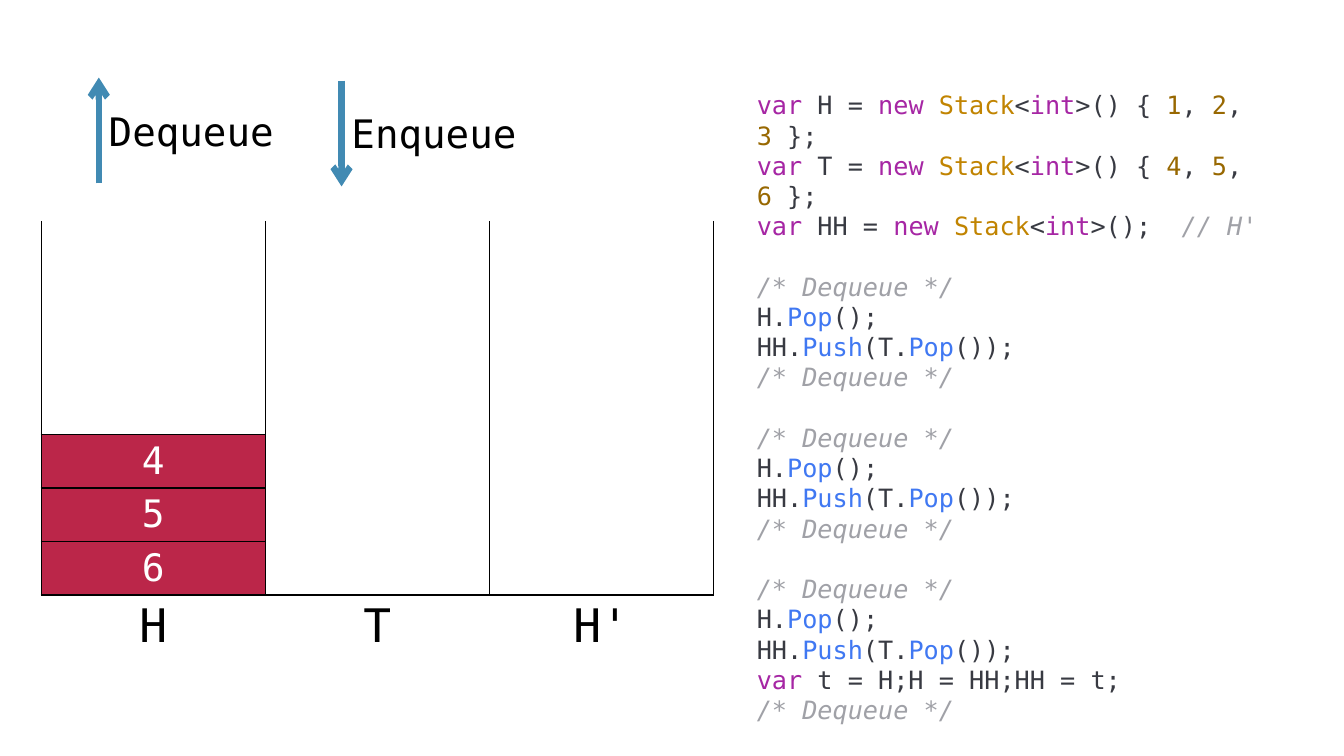
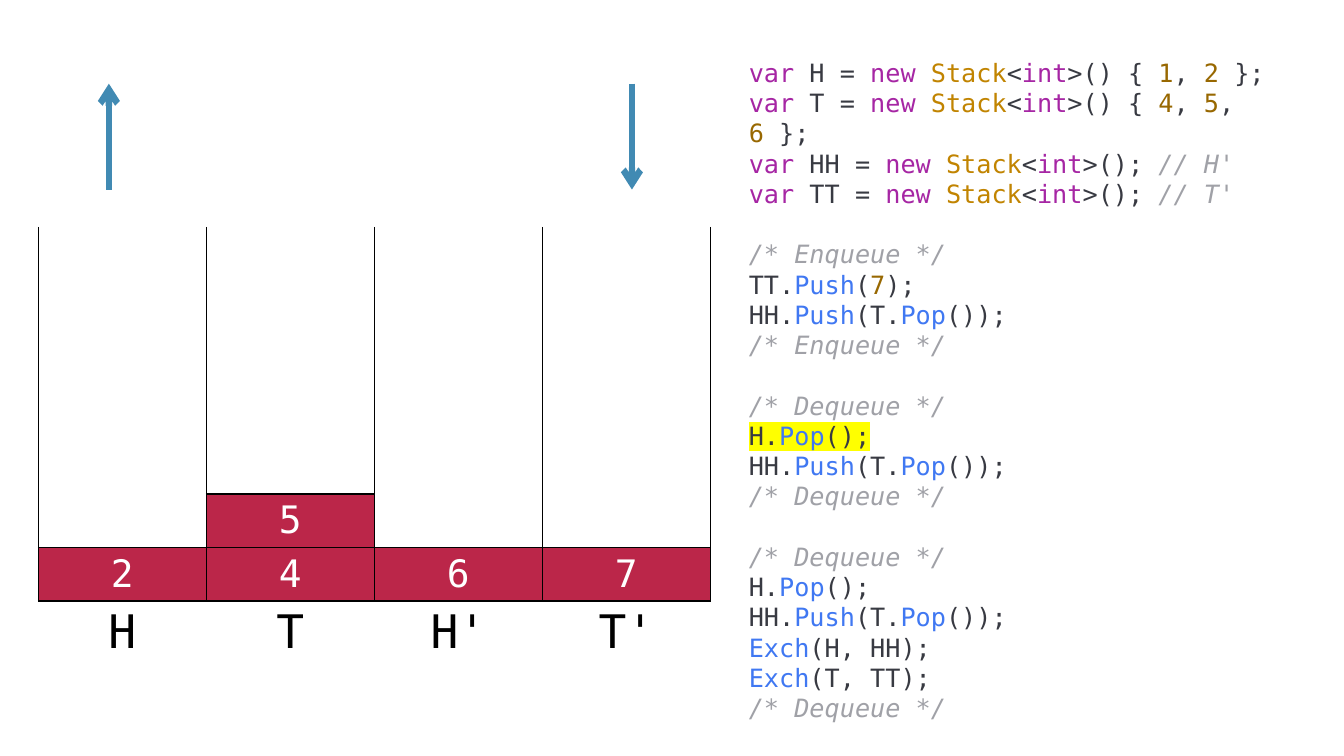
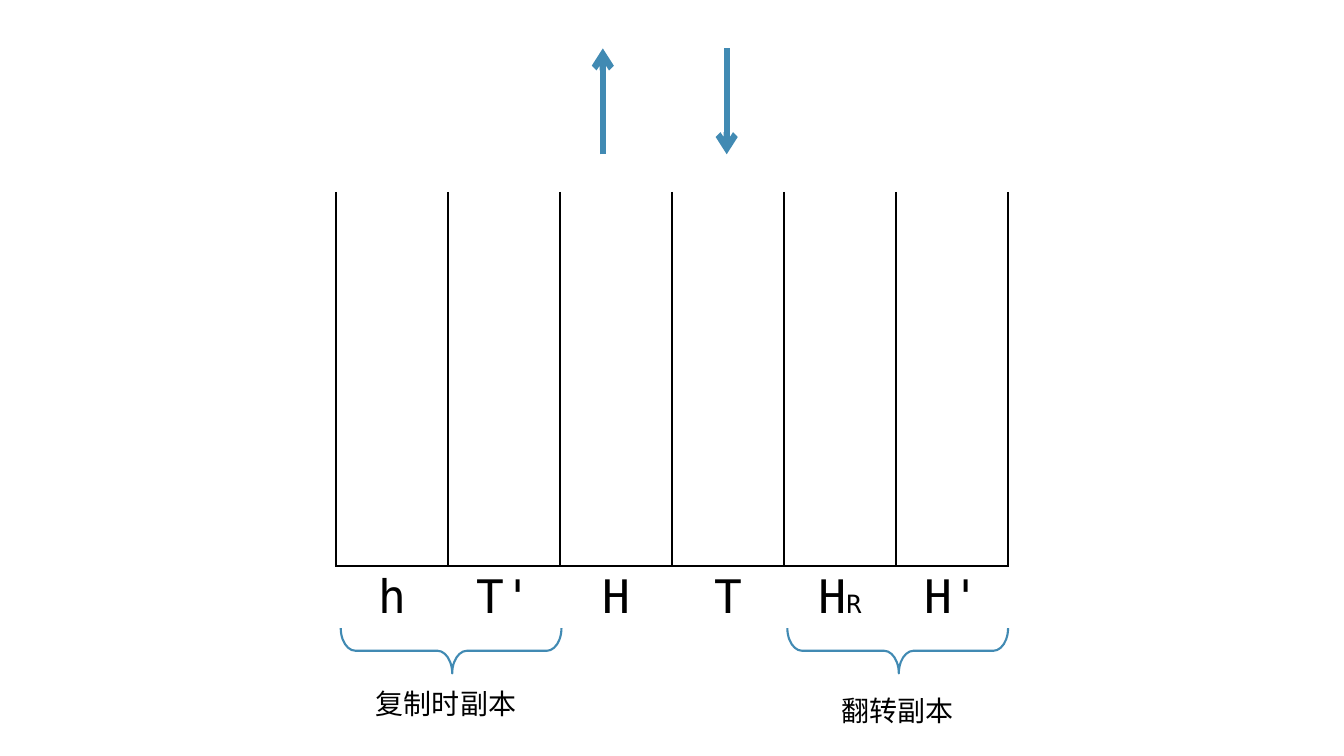
"""Build three slides that show queues made of stacks, with their code."""
from itertools import groupby

from lxml.etree import SubElement
from pptx import Presentation
from pptx.dml.color import RGBColor
from pptx.enum.shapes import MSO_CONNECTOR, MSO_SHAPE
from pptx.enum.text import MSO_ANCHOR, MSO_AUTO_SIZE, PP_ALIGN
from pptx.oxml.ns import qn
from pptx.util import Pt

MONO = "DejaVu Sans Mono"
BLACK, WHITE, RED, BLUE, YELLOW = "000000", "FFFFFF", "BB2649", "418AB3", "FFFF00"
CODE, COMMENT, NUMBER = "383A42", "A0A1A7", "986801"
KEYWORD, CLASS, METHOD = "A626A4", "C18401", "4078F2"
WORD_COLORS = {"var": KEYWORD, "new": KEYWORD, "int": KEYWORD, "Stack": CLASS,
               "Pop": METHOD, "Push": METHOD, "Exch": METHOD}
NO_GRID_STYLE = "{2D5ABB26-0587-4C30-8999-92F81FD0307C}"
TABLE_WIDTH, CELL_HEIGHT, LABEL_HEIGHT, DEPTH = 480, 38.2, 45, 7
LINE_HEIGHT = 21.6
CELL_FORMAT = {"margin_left": Pt(5), "margin_right": Pt(5), "margin_top": Pt(2.8),
               "margin_bottom": Pt(2.8), "vertical_anchor": MSO_ANCHOR.MIDDLE}

THREE_STACK_CODE = """var H = new Stack<int>() { 1, 2, 3 };
var T = new Stack<int>() { 4, 5, 6 };
var HH = new Stack<int>();  // H'

/* Dequeue */
H.Pop();
HH.Push(T.Pop());
/* Dequeue */

/* Dequeue */
H.Pop();
HH.Push(T.Pop());
/* Dequeue */

/* Dequeue */
H.Pop();
HH.Push(T.Pop());
var t = H;H = HH;HH = t;
/* Dequeue */"""

FOUR_STACK_CODE = """var H = new Stack<int>() { 1, 2 };
var T = new Stack<int>() { 4, 5, 6 };
var HH = new Stack<int>(); // H'
var TT = new Stack<int>(); // T'

/* Enqueue */
TT.Push(7);
HH.Push(T.Pop());
/* Enqueue */

/* Dequeue */
H.Pop();
HH.Push(T.Pop());
/* Dequeue */

/* Dequeue */
H.Pop();
HH.Push(T.Pop());
Exch(H, HH);
Exch(T, TT);
/* Dequeue */"""

PAGES = [
    {"table": (29.5, 157.7),
     "stacks": [("H", "654"), ("T", ""), ("H'", "")],
     "arrows": [(244, 57.6, 133.2), (70.6, 131, 55.4)],
     "captions": [("Enqueue", (244, 74.9, 136, 41), 28, MONO, PP_ALIGN.LEFT),
                  ("Dequeue", (70.6, 73.4, 136, 41), 28, MONO, PP_ALIGN.LEFT)],
     "braces": [],
     "code": (THREE_STACK_CODE, (533.5, 60.5, 405.4, 421.9), None)},
    {"table": (27.4, 162),
     "stacks": [("H", "2"), ("T", "45"), ("H'", "6"), ("T'", "7")],
     "arrows": [(451.4, 59.8, 135.4), (77.8, 135.4, 59.8)],
     "captions": [],
     "braces": [],
     "code": (FOUR_STACK_CODE, (527.8, 37.4, 400.3, 465.1), 11)},
    {"table": (240, 137),
     "stacks": [(label, "") for label in ("h", "T'", "H", "T", "H_R", "H'")],
     "arrows": [(430.6, 110.2, 34.6), (519.1, 34.6, 110.2)],
     "captions": [
         ("复制时副本", (252.7, 486.7, 131.8, 31.7), 20, "Noto Sans Mono", PP_ALIGN.CENTER),
         ("翻转副本", (575.3, 491.8, 131.8, 31.7), 20, "Noto Sans Mono", PP_ALIGN.CENTER)],
     "braces": [306, 625],
     "code": None},
]


def add_span(para, text, color, size, name=MONO, italic=False, highlight=None):
    span = para.add_run()
    span.text = text
    span.font.color.rgb = RGBColor.from_string(color)
    if highlight:
        mark = SubElement(span._r.get_or_add_rPr(), qn("a:highlight"))
        SubElement(mark, qn("a:srgbClr"), val=highlight)
    for key, value in {"size": Pt(size), "name": name, "italic": italic}.items():
        setattr(span.font, key, value)


def add_box(page, place):
    box = page.shapes.add_textbox(*map(Pt, place))
    box.text_frame.word_wrap = True
    box.text_frame.auto_size = MSO_AUTO_SIZE.SHAPE_TO_FIT_TEXT
    return box.text_frame


deck = Presentation()
deck.slide_width, deck.slide_height = Pt(960), Pt(540)

for content in PAGES:
    page = deck.slides.add_slide(deck.slide_layouts[6])

    stacks = content["stacks"]
    left, top = content["table"]
    frame = page.shapes.add_table(DEPTH + 1, len(stacks), Pt(left), Pt(top), Pt(TABLE_WIDTH),
                                  Pt(DEPTH * CELL_HEIGHT + LABEL_HEIGHT))
    table = frame.table
    table.first_row = table.horz_banding = False
    table._tbl.tblPr.find(qn("a:tableStyleId")).text = NO_GRID_STYLE
    for index, row in enumerate(table.rows):
        row.height = Pt(CELL_HEIGHT if index < DEPTH else LABEL_HEIGHT)

    for column, (label, items) in enumerate(stacks):
        table.columns[column].width = Pt(TABLE_WIDTH / len(stacks))
        for row in range(DEPTH + 1):
            cell = table.cell(row, column)
            for key, value in CELL_FORMAT.items():
                setattr(cell, key, value)
            level = DEPTH - 1 - row
            filled = 0 <= level < len(items)
            sides = "T" if level < 0 else "LRTB" if filled else "LRB" if level == len(items) or level == 0 else "LR"
            if level == len(items) and level > 0 and not items:
                sides = "LR"
            for side in sides:
                border = SubElement(cell._tc.get_or_add_tcPr(), qn(f"a:ln{side}"), w=str(Pt(1)))
                paint = SubElement(border, qn("a:solidFill"))
                SubElement(paint, qn("a:srgbClr"), val=BLACK)
            para = cell.text_frame.paragraphs[0]
            para.alignment = PP_ALIGN.CENTER
            if filled:
                cell.fill.solid()
                cell.fill.fore_color.rgb = RGBColor.from_string(RED)
                add_span(para, items[level], WHITE, 27)
            else:
                cell.fill.background()
            if level < 0:
                base, _, suffix = label.partition("_")
                add_span(para, base, BLACK, 33)
                if suffix:
                    add_span(para, suffix, BLACK, 18)

    for x, start, end in content["arrows"]:
        arrow = page.shapes.add_connector(MSO_CONNECTOR.STRAIGHT, Pt(x), Pt(start), Pt(x), Pt(end))
        arrow.line.color.rgb = RGBColor.from_string(BLUE)
        arrow.line.width = Pt(4.5)
        SubElement(arrow.line._get_or_add_ln(), qn("a:tailEnd"), type="arrow")
        SubElement(arrow._element.spPr, qn("a:effectLst"))

    for x in content["braces"]:
        brace = page.shapes.add_shape(MSO_SHAPE.RIGHT_BRACE, Pt(x), Pt(386), Pt(32.4), Pt(157.7))
        brace.rotation = 90
        brace.adjustments[0], brace.adjustments[1] = 0.325, 0.495
        brace.shadow.inherit = False
        brace.fill.background()
        brace.line.color.rgb = RGBColor.from_string(BLUE)
        brace.line.width = Pt(1.5)

    for text, place, size, name, alignment in content["captions"]:
        para = add_box(page, place).paragraphs[0]
        para.alignment = alignment
        add_span(para, text, BLACK, size, name)

    if content["code"]:
        source, place, marked = content["code"]
        text_frame = add_box(page, place)
        gap = 0
        for number, line in enumerate(source.split("\n")):
            if not line:
                gap = LINE_HEIGHT
                continue
            para = text_frame.add_paragraph() if number else text_frame.paragraphs[0]
            para.line_spacing, para.space_before = Pt(LINE_HEIGHT), Pt(gap)
            gap = 0
            code, slash, comment = line.partition("/")
            for _, letters in groupby(code, str.isalnum):
                word = "".join(letters)
                color = NUMBER if word.isdigit() else WORD_COLORS.get(word, CODE)
                add_span(para, word, color, 18, highlight=YELLOW if number == marked else None)
            if slash:
                add_span(para, slash + comment, COMMENT, 18, italic=True)

deck.save("out.pptx")
